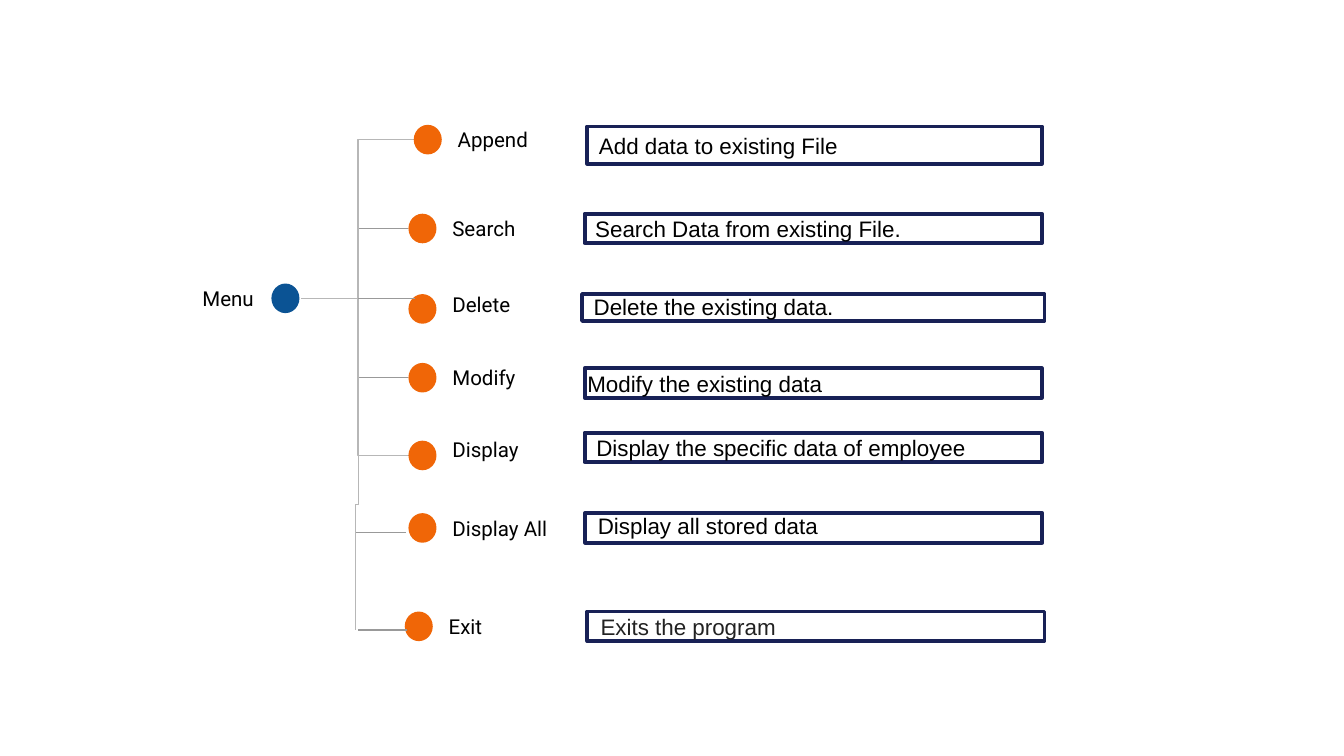
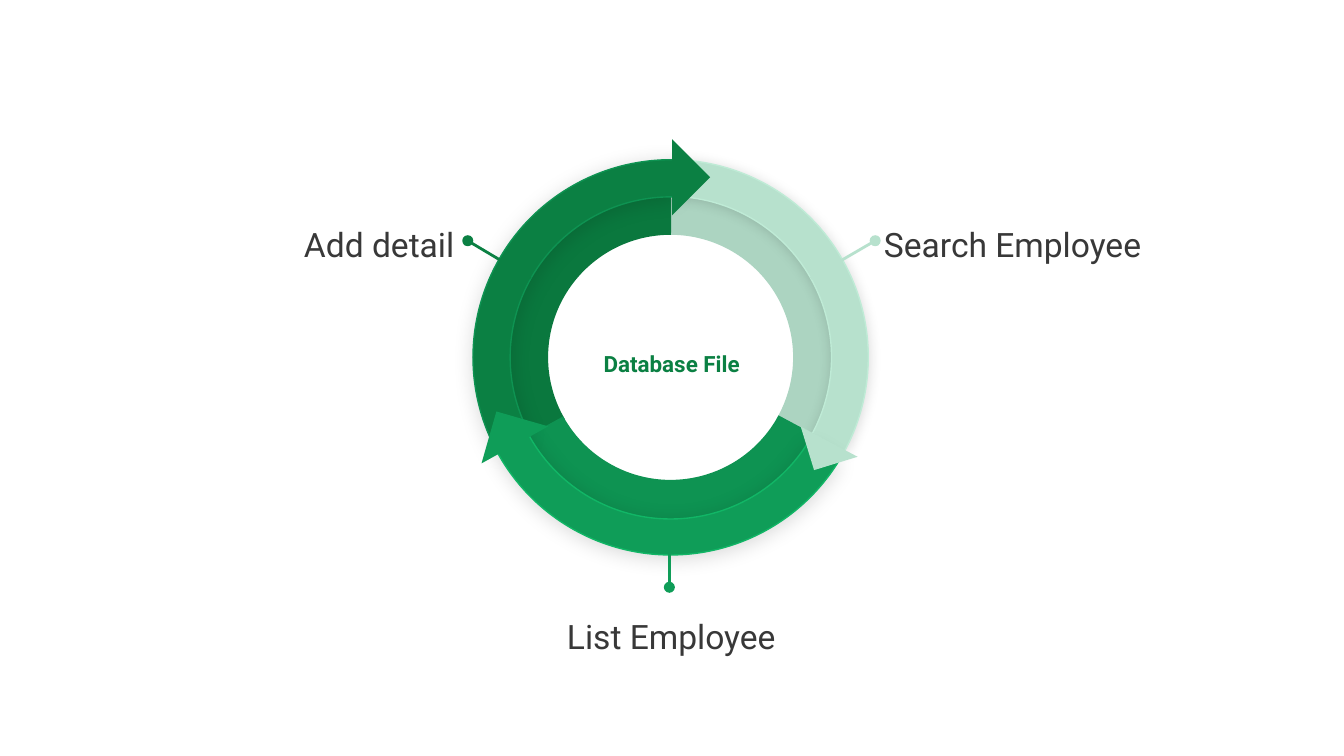
from lxml import etree
from pptx import Presentation
from pptx.dml.color import RGBColor
from pptx.enum import shapes, text
from pptx.oxml import ns
from pptx.util import Cm, Pt

COLOURS = {
    "black": "000000", "white": "FFFFFF", "ink": "222222", "grey": "383838",
    "elbow": "B7B7B7", "stub": "999999", "navy": "182156",
    "orange": "F06607", "blue": "0B5394",
    "dark": "0B8043", "dark inner": "0A783E", "dark edge": "0E9352",
    "mid": "0F9D58", "mid inner": "0E9352", "mid edge": "11B666",
    "pale": "B7E1CD", "pale inner": "ACD4C1", "pale edge": "BFEBD6",
}
KIND = shapes.MSO_SHAPE
LINK = shapes.MSO_CONNECTOR
ALIGN = text.PP_ALIGN
ANCHOR = text.MSO_ANCHOR

# Text styles: font, size, colour, bold, alignment, anchor, side and top inset, line spacing
STYLES = {
    "label": ("Roboto", 11, "black", False, ALIGN.LEFT, ANCHOR.MIDDLE, 0.25, 0.25, 1),
    "menu": ("Roboto", 11, "black", False, ALIGN.RIGHT, ANCHOR.MIDDLE, 0.25, 0.25, 1),
    "note": ("Arial", 12, "black", False, ALIGN.LEFT, ANCHOR.TOP, 0.25, 0.13, 1),
    "exit": ("Arial", 12, "ink", False, ALIGN.LEFT, ANCHOR.MIDDLE, 0.25, 0.13, 1),
    "hub": ("Roboto", 12, "dark", True, ALIGN.CENTER, ANCHOR.MIDDLE, 0.25, 0.25, 1.15),
    "step": ("Roboto", 18, "grey", False, ALIGN.RIGHT, ANCHOR.TOP, 0.25, 0.25, 1.15),
}


def draw_box(page, kind, place, fill=None, edge=None, width=0.75, words=None, style=None):
    """Draw a preset shape, or a text box when kind is None."""
    place = [Cm(length) for length in place]
    if kind is None:
        box = page.shapes.add_textbox(*place)
    else:
        box = page.shapes.add_shape(kind, *place)
        box.shadow.inherit = False
    if fill:
        box.fill.solid()
        box.fill.fore_color.rgb = RGBColor.from_string(COLOURS[fill])
    else:
        box.fill.background()
    if edge:
        box.line.color.rgb = RGBColor.from_string(COLOURS[edge])
        box.line.width = Pt(width)
    else:
        box.line.fill.background()
    if words:
        font, size, colour, bold, align, anchor, side, top, spacing = STYLES[style]
        frame = box.text_frame
        frame.text = words
        frame.word_wrap = True
        frame.vertical_anchor = anchor
        frame.margin_left = frame.margin_right = Cm(side)
        frame.margin_top = frame.margin_bottom = Cm(top)
        para = frame.paragraphs[0]
        para.alignment = align
        para.line_spacing = spacing
        span = para.runs[0]
        span.font.name = font
        span.font.size = Pt(size)
        span.font.bold = bold
        span.font.color.rgb = RGBColor.from_string(COLOURS[colour])
    return box


def draw_line(page, kind, start, end, colour, width=0.75, oval=False):
    line = page.shapes.add_connector(kind, *[Cm(length) for length in start + end])
    line.line.color.rgb = RGBColor.from_string(COLOURS[colour])
    line.line.width = Pt(width)
    properties = line._element.spPr
    if oval:
        outline = properties.find(ns.qn("a:ln"))
        etree.SubElement(outline, ns.qn("a:headEnd"), type="oval")
    etree.SubElement(properties, ns.qn("a:effectLst"))
    return line


deck = Presentation()
deck.slide_width, deck.slide_height = Cm(25.4), Cm(14.29)
blank = deck.slide_layouts[6]

# Slide 1: menu tree
page = deck.slides.add_slide(blank)
DOT_WIDTH, DOT_HEIGHT = 0.53, 0.56
LABEL_WIDTH, LABEL_HEIGHT = 3.63, 1.02

for end_y in (8.61, 2.64):
    draw_line(page, LINK.ELBOW, (5.69, 5.64), (7.85, end_y), "elbow")

# Menu root
draw_box(page, KIND.ROUNDED_RECTANGLE, (1.47, 5.13, LABEL_WIDTH, LABEL_HEIGHT),
         words="Menu", style="menu")
draw_box(page, KIND.OVAL, (5.13, 5.36, DOT_WIDTH, DOT_HEIGHT), "blue")

# Menu entries: name, dot left, dot middle, label middle
entries = [
    ("Append", 7.82, 2.64, 2.64),
    ("Search", 7.72, 4.32, 4.32),
    ("Delete", 7.72, 5.84, 5.75),
    ("Modify", 7.72, 7.14, 7.14),
    ("Display", 7.72, 8.61, 8.5),
    ("Display All", 7.72, 9.98, 9.98),
    ("Exit", 7.65, 11.84, 11.84),
]
for name, left, dot_y, label_y in entries:
    draw_box(page, KIND.ROUNDED_RECTANGLE,
             (left + DOT_WIDTH, label_y - LABEL_HEIGHT / 2, LABEL_WIDTH, LABEL_HEIGHT),
             words=name, style="label")
    draw_box(page, KIND.OVAL, (left, dot_y - DOT_HEIGHT / 2, DOT_WIDTH, DOT_HEIGHT), "orange")

# Branches from the trunk
stubs = [(7.72, 6.78, 4.32), (7.85, 6.76, 5.64), (7.72, 6.78, 7.14),
         (7.67, 6.73, 10.06), (7.7, 6.76, 11.91)]
for right, left, y in stubs:
    draw_line(page, LINK.STRAIGHT, (right, y), (left, y), "stub")
trunk = draw_line(page, LINK.ELBOW, (4.37, 9.51), (9.12, 9.56), "elbow")
trunk._element.spPr.xfrm.set("rot", str(90 * 60000))

# Explanations: frame, text position, wording
notes = [
    ((11.1, 2.39, 8.59, 0.71), (11.07, 2.36), "Add data to existing File"),
    ((11.05, 4.04, 8.64, 0.56), (11.0, 3.94), "Search Data from existing File."),
    ((11.0, 5.56, 8.74, 0.51), (10.97, 5.41), "Delete the existing data."),
    ((11.05, 6.96, 8.64, 0.56), (10.85, 6.86), "Modify the existing data"),
    ((11.05, 8.18, 8.64, 0.56), (11.02, 8.08), "Display the specific data of employee"),
    ((11.06, 9.7, 8.64, 0.56), (11.05, 9.55), "Display all stored data"),
]
for frame_place, corner, words in notes:
    draw_box(page, KIND.RECTANGLE, frame_place, "white", "navy", 2)
    draw_box(page, None, corner + (8.6, 0.89), words=words, style="note")
draw_box(page, KIND.RECTANGLE, (11.1, 11.56, 8.64, 0.56), "white", "navy", 2,
         "Exits the program", "exit")

# Slide 2: database cycle
page = deck.slides.add_slide(blank)
draw_box(page, None, (10.69, 5.72, 4.01, 2.24), words="Database File", style="hub")

# Ring: fill, edge, rotation, mirrored, adjustments, shadow blur and distance
arcs = [
    ("pale inner", None, 30, False, (144.14, 0.21, 0.19), None),
    ("pale", "pale edge", 30, False, (144.14, 215.07, 0.093), (6.8, 0.8)),
    ("dark inner", None, 330, True, (143.89, 0.06, 0.19), None),
    ("mid inner", None, 210, True, (143.28, 1.05, 0.19), None),
    ("dark", "dark edge", 330, True, (143.49, 214.73, 0.094), (11.2, 1.5)),
    ("mid", "mid edge", 210, True, (143.16, 215, 0.091), (11.2, 1.5)),
]
for fill, edge, turn, mirrored, adjustments, shadow in arcs:
    arc = draw_box(page, KIND.BLOCK_ARC, (8.94, 3.02, 7.47, 7.47), fill, edge)
    arc.rotation = turn
    for index, value in enumerate(adjustments):
        arc.adjustments[index] = value
    properties = arc._element.spPr
    if mirrored:
        properties.xfrm.set("flipH", "1")
    if shadow:
        blur, distance = shadow
        effects = properties.find(ns.qn("a:effectLst"))
        cast = etree.SubElement(effects, ns.qn("a:outerShdw"), blurRad=str(Pt(blur)),
                                dist=str(Pt(distance)), dir=str(90 * 60000),
                                algn="bl", rotWithShape="0")
        tint = etree.SubElement(cast, ns.qn("a:srgbClr"), val=COLOURS["black"])
        etree.SubElement(tint, ns.qn("a:alpha"), val="15000")

# Arrow tips
tips = [(9.22, 7.9, 1.02, 106, "mid"), (15.24, 7.92, 0.86, 342.9, "pale"),
        (12.19, 2.84, 1.02, 225, "dark")]
for left, top, side, turn, fill in tips:
    tip = draw_box(page, KIND.RIGHT_TRIANGLE, (left, top, side, side), fill)
    tip.rotation = turn

# Callouts: pin start, pin end, colour, text place, wording
callouts = [
    ((8.84, 4.55), (10.03, 5.26), "dark", (4.67, 3.86, 4.17, 1.85), "Add detail"),
    ((16.54, 4.55), (15.32, 5.26), "pale", (15.9, 3.86, 5.92, 1.85), "Search Employee"),
    ((12.65, 11.1), (12.65, 9.83), "mid", (10.36, 11.28, 4.55, 1.85), "List Employee"),
]
for start, end, colour, place, words in callouts:
    draw_line(page, LINK.STRAIGHT, start, end, colour, 1.5, oval=True)
    draw_box(page, None, place, words=words, style="step")

deck.save("out.pptx")
